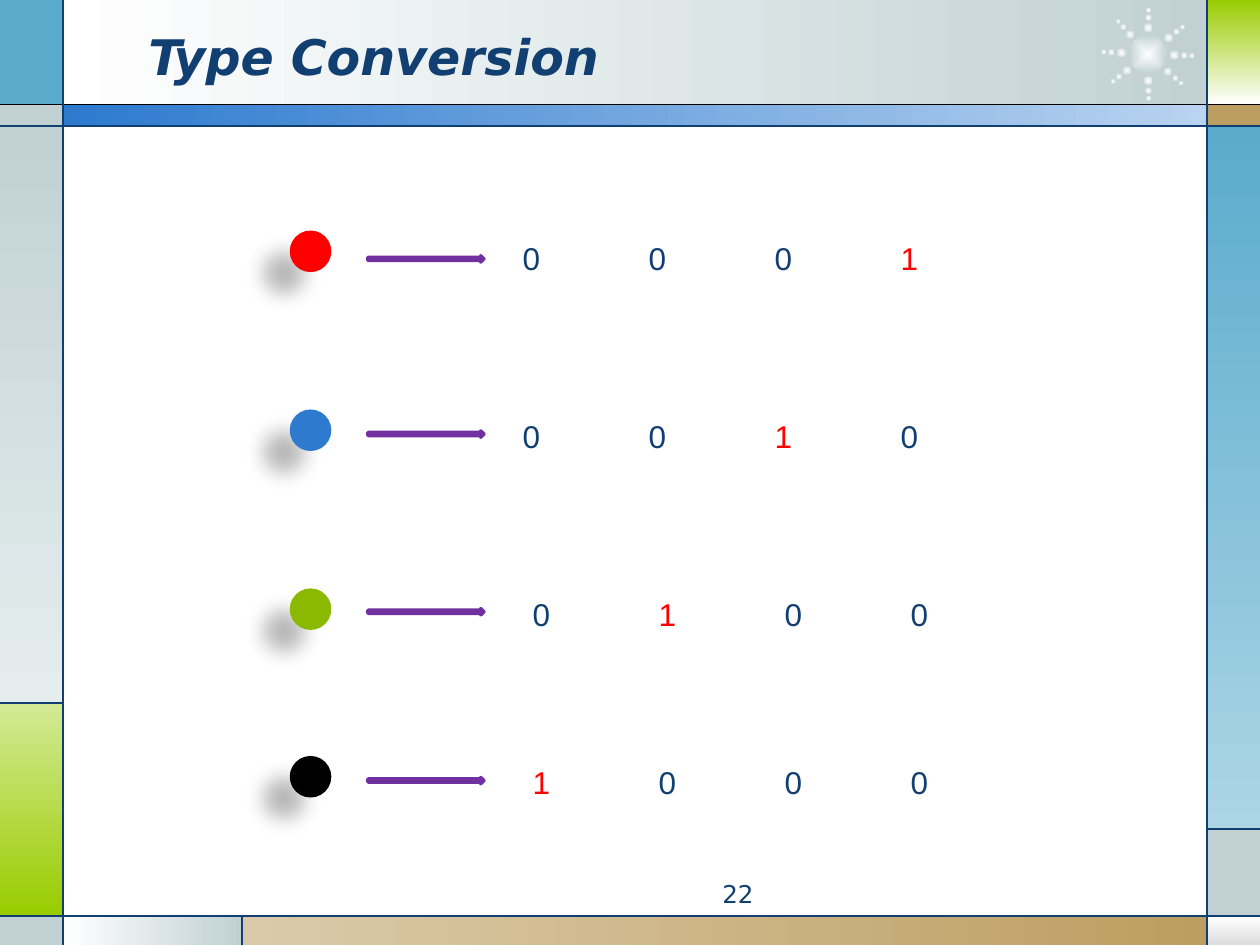
from dataclasses import dataclass
from math import cos, radians, sin

from lxml import etree
from pptx import Presentation
from pptx.dml.color import RGBColor
from pptx.enum.shapes import MSO_CONNECTOR, MSO_SHAPE
from pptx.enum.text import MSO_ANCHOR, MSO_AUTO_SIZE, PP_ALIGN
from pptx.oxml.ns import qn
from pptx.util import Inches, Pt

RECT, OVAL, ARROW = MSO_SHAPE.RECTANGLE, MSO_SHAPE.OVAL, MSO_SHAPE.RIGHT_ARROW
STRAIGHT = MSO_CONNECTOR.STRAIGHT
TOP, MIDDLE = MSO_ANCHOR.TOP, MSO_ANCHOR.MIDDLE
LEFT, RIGHT = PP_ALIGN.LEFT, PP_ALIGN.RIGHT
ACROSS, DOWN = 0, 270  # gradient directions, counter-clockwise degrees

C = {
    "white": "FFFFFF", "black": "000000", "navy": "113F71", "red": "FF0000",
    "blue": "2D7ACF", "pale blue": "B9D3F0", "sky": "5AABCC", "pale sky": "ACD5E5",
    "grey": "C1D1D3", "pale grey": "E5EDEE", "silver": "DDDDDD",
    "lime": "99CC00", "pale lime": "D3EA95", "olive": "8AB900",
    "tan": "BD9E61", "pale tan": "DBCAAA", "purple": "7030A0",
}

# Frame grid: edges of its columns and rows, in inches
COLS = (0, 0.5, 1.92, 9.58, 10)
ROWS = (0, 0.83, 1, 5.58, 6.58, 7.27, 7.5)


@dataclass
class Panel:
    cols: tuple[int, int]  # first and last edge
    rows: tuple[int, int]
    colours: tuple[str, ...]
    angle: int = ACROSS


@dataclass
class Rule:
    cols: tuple[int, int]
    rows: tuple[int, int]
    colour: str = "navy"


@dataclass
class Code:
    colour: str
    dot_top: float
    arrow_top: float
    text_left: float
    text_top: float


PANELS = [
    Panel((1, 3), (0, 1), ("white", "grey")),
    Panel((0, 1), (0, 1), ("sky",)),
    Panel((0, 1), (1, 2), ("grey",)),
    Panel((0, 1), (2, 3), ("grey", "pale grey"), DOWN),
    Panel((0, 1), (3, 5), ("pale lime", "lime"), DOWN),
    Panel((0, 1), (5, 6), ("grey",)),
    Panel((1, 2), (5, 6), ("white", "grey")),
    Panel((2, 3), (5, 6), ("pale tan", "tan")),
    Panel((3, 4), (5, 6), ("white", "silver"), DOWN),
    Panel((3, 4), (4, 5), ("grey",)),
    Panel((3, 4), (2, 4), ("sky", "pale sky"), DOWN),
    Panel((3, 4), (1, 2), ("tan",)),
    Panel((3, 4), (0, 1), ("lime", "white"), DOWN),
    Panel((1, 3), (1, 2), ("blue", "pale blue")),
]
RULES = [
    Rule((0, 4), (1, 1), "black"), Rule((0, 4), (2, 2)), Rule((0, 4), (5, 5)),
    Rule((1, 1), (0, 6)), Rule((3, 3), (0, 6)),
    Rule((0, 1), (3, 3)), Rule((2, 2), (5, 6)), Rule((3, 4), (4, 4)),
]
CODES = [
    Code("red", 1.83, 2.03, 4.05, 1.85),
    Code("blue", 3.25, 3.42, 4.05, 3.26),
    Code("olive", 4.67, 4.83, 4.13, 4.67),
    Code("black", 6, 6.17, 4.13, 6.01),
]
FLARE_CENTRE = (9.11, 0.43)
FLARE_DOTS = ((0.21, 0.07), (0.29, 0.05), (0.35, 0.04))  # distance, size
FLARE_ARMS = (2, 41, 89, 142, 183, 228, 271, 322)  # clockwise degrees
DOT_TURN = -36  # turn of a flare dot against its arm


def rgb(name: str) -> RGBColor:
    return RGBColor.from_string(C[name])


def add_shape(s, kind, x: float, y: float, w: float, h: float,
              colours: tuple[str, ...], angle: int = ACROSS):
    sp = s.shapes.add_shape(kind, Inches(x), Inches(y), Inches(w), Inches(h))
    sp.shadow.inherit = False
    sp.line.fill.background()
    if len(colours) == 1:
        sp.fill.solid()
        sp.fill.fore_color.rgb = rgb(colours[0])
    else:
        sp.fill.gradient()
        sp.fill.gradient_angle = angle
        for stop, position, name in zip(sp.fill.gradient_stops, (0, 1), colours):
            stop.position = position
            stop.color.rgb = rgb(name)
    return sp


def add_glow(s, cx: float, cy: float, size: float, turn: float) -> None:
    """Ellipse that fades from its centre to its edge."""
    sp = add_shape(s, OVAL, cx - size / 2, cy - size / 2, size, size, ("white", "grey"))
    sp.rotation = turn
    grad = sp._element.spPr.find(qn("a:gradFill"))
    lin = grad.find(qn("a:lin"))
    radial = etree.Element(qn("a:path"), {"path": "shape"})
    etree.SubElement(radial, qn("a:fillToRect"), {side: "50000" for side in "ltrb"})
    grad.replace(lin, radial)


def add_rule(s, rule: Rule) -> None:
    (x1, x2), (y1, y2) = rule.cols, rule.rows
    line = s.shapes.add_connector(STRAIGHT, Inches(COLS[x1]), Inches(ROWS[y1]),
                                  Inches(COLS[x2]), Inches(ROWS[y2]))
    line.line.color.rgb = rgb(rule.colour)
    line.line.width = Pt(0.75)
    etree.SubElement(line._element.spPr, qn("a:effectLst"))


def add_text(s, x: float, y: float, w: float, h: float, runs: list[tuple[str, str]],
             size: int, font: str = "DejaVu Sans", align=LEFT, anchor=TOP,
             wrap: bool = True, strong: bool = False, tabs: int = 0) -> None:
    tf = s.shapes.add_textbox(Inches(x), Inches(y), Inches(w), Inches(h)).text_frame
    tf.word_wrap = wrap
    tf.auto_size = MSO_AUTO_SIZE.NONE if wrap else MSO_AUTO_SIZE.SHAPE_TO_FIT_TEXT
    tf.vertical_anchor = anchor
    p = tf.paragraphs[0]
    p.alignment = align
    if tabs:  # one stop an inch
        stops = etree.SubElement(p._p.get_or_add_pPr(), qn("a:tabLst"))
        for inch in range(1, tabs + 1):
            etree.SubElement(stops, qn("a:tab"), pos=str(Inches(inch)), algn="l")
    for text, colour in runs:
        r = p.add_run()
        r.text = text
        r.font.name, r.font.size = font, Pt(size)
        r.font.bold = r.font.italic = strong
        r.font.color.rgb = rgb(colour)


def add_dot(s, code: Code) -> None:
    sp = add_shape(s, OVAL, 2.3, code.dot_top, 0.33, 0.33, (code.colour,))
    effects = sp._element.spPr.find(qn("a:effectLst"))
    shadow = etree.SubElement(effects, qn("a:outerShdw"), {
        "blurRad": str(Pt(11.8)), "dist": str(Pt(19.7)),
        "dir": str(141 * 60000), "rotWithShape": "0"})
    colour = etree.SubElement(shadow, qn("a:srgbClr"), val=C["black"])
    etree.SubElement(colour, qn("a:alpha"), val="28000")


def add_bits(s, code: Code, place: int) -> None:
    """Four tabbed bits with the set one, counted from the right, in red."""
    gaps = len(CODES) - 1
    runs = [("0\t" * (gaps - place), "navy"), ("1", "red"), ("\t0" * place, "navy")]
    add_text(s, code.text_left, code.text_top, 3.37, 0.4,
             [run for run in runs if run[0]], 18, "Arial", wrap=False, tabs=gaps)


def main() -> None:
    prs = Presentation()
    prs.slide_width, prs.slide_height = Inches(COLS[-1]), Inches(ROWS[-1])
    s = prs.slides.add_slide(prs.slide_layouts[6])

    # Frame panels
    for panel in PANELS:
        (x1, x2), (y1, y2) = panel.cols, panel.rows
        add_shape(s, RECT, COLS[x1], ROWS[y1], COLS[x2] - COLS[x1],
                  ROWS[y2] - ROWS[y1], panel.colours, panel.angle)

    # Flare in the header
    cx, cy = FLARE_CENTRE
    add_glow(s, cx, cy, 0.3, 2.5)
    for arm in FLARE_ARMS:
        dx, dy = cos(radians(arm)), sin(radians(arm))
        for distance, size in FLARE_DOTS:
            add_glow(s, cx + distance * dx, cy + distance * dy, size, arm + DOT_TURN)

    # Frame rules
    for rule in RULES:
        add_rule(s, rule)

    # Title and page number
    add_text(s, 1.08, 0.13, 7.33, 0.62, [("Type Conversion", "navy")], 28,
             anchor=MIDDLE, strong=True)
    add_text(s, 3.75, 6.93, 2.33, 0.27, [("22", "navy")], 14, align=RIGHT)

    # Colours and their codes
    for place, code in enumerate(CODES):
        add_dot(s, code)
        add_bits(s, code, place)
        arrow = add_shape(s, ARROW, 2.92, code.arrow_top, 0.92, 0.05, ("purple",))
        arrow.line.color.rgb = rgb("purple")
        arrow.line.width = Pt(2)

    prs.save("out.pptx")


if __name__ == "__main__":
    main()
